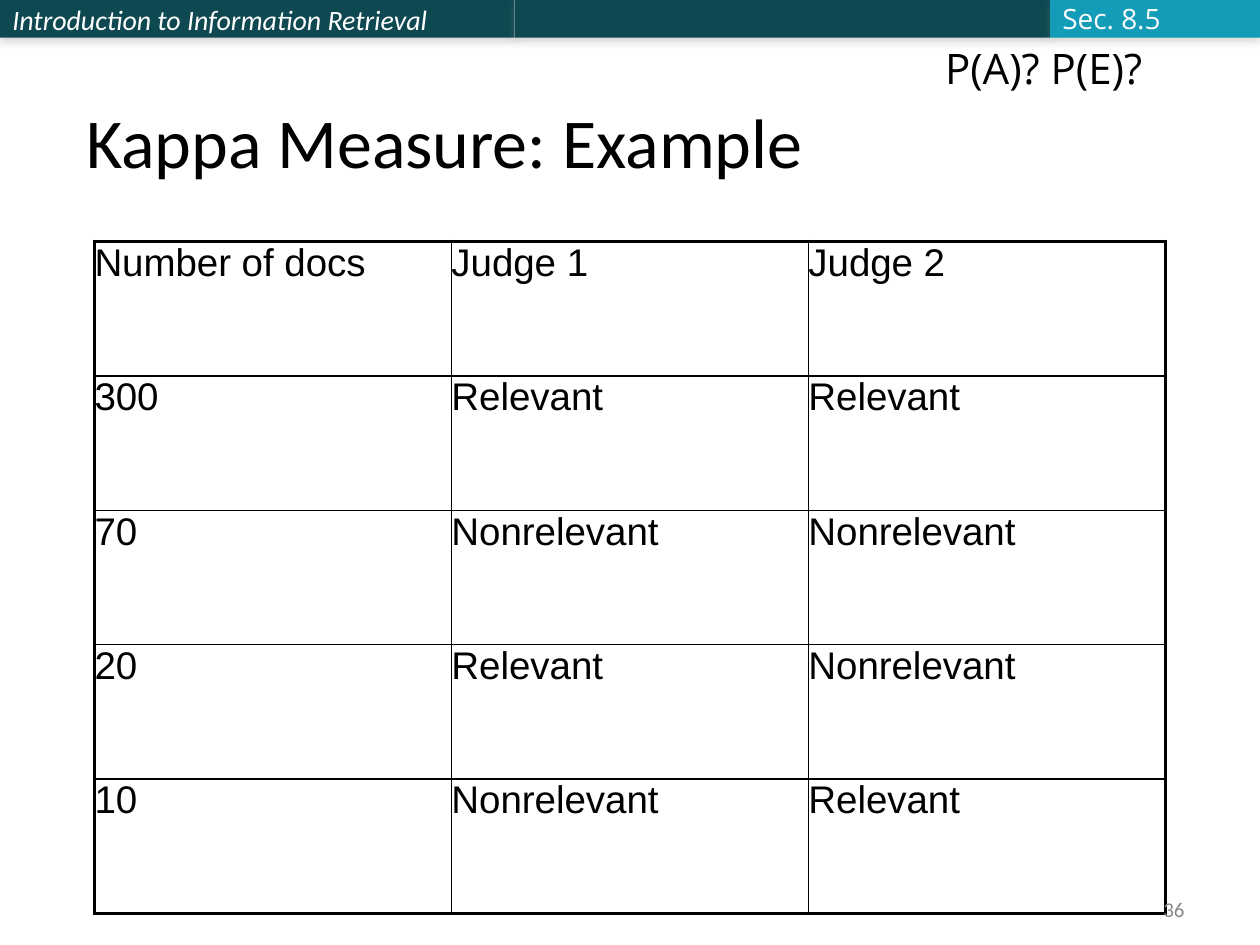
from pptx import Presentation
from pptx.dml.color import RGBColor
from pptx.enum.shapes import MSO_SHAPE
from pptx.enum.text import MSO_ANCHOR, MSO_AUTO_SIZE, PP_ALIGN
from pptx.oxml.ns import qn
from pptx.util import Pt
from lxml import etree

RECTANGLE = MSO_SHAPE.RECTANGLE
TOP, MIDDLE, BOTTOM = MSO_ANCHOR.TOP, MSO_ANCHOR.MIDDLE, MSO_ANCHOR.BOTTOM
LEFT, RIGHT = PP_ALIGN.LEFT, PP_ALIGN.RIGHT
NO_AUTOSIZE = MSO_AUTO_SIZE.NONE

COLORS = {
    "dark": "0E4851", "accent": "139CB7", "shadow": "808080", "black": "000000",
    "white": "FFFFFF", "section": "FBFCFF", "number": "898989",
}
TITLE = "Kappa Measure: Example"
COURSE = "Introduction to Information Retrieval"
HEADER_HEIGHT = 21.6
HEADER_BARS = [(294, "dark", COURSE), (306, "dark", ""), (120, "accent", "")]
LABELS = [
    ("36", (516, 510, 168, 19.2), 12, "Calibri", "number", MIDDLE, RIGHT),
    ("P(A)? P(E)?", (533, 21, 144, 36), 24, "Open Sans", "black", TOP, LEFT),
    ("Sec. 8.5", (600, -3, 76.5, 26.6), 16, "Open Sans", "section", MIDDLE, LEFT),
]
ROWS = [
    ("Number of docs", "Judge 1", "Judge 2"),
    ("300", "Relevant", "Relevant"),
    ("70", "Nonrelevant", "Nonrelevant"),
    ("20", "Relevant", "Nonrelevant"),
    ("10", "Nonrelevant", "Relevant"),
]
TABLE_AREA = (54, 138, 612, 384)
OUTER_LINE, INNER_LINE = 2.25, 1


def points(values):
    return [Pt(value) for value in values]


def add_span(para, text, size, font, color, italic=False):
    span = para.add_run()
    span.text = text
    span.font.size = Pt(size)
    span.font.name = font
    span.font.italic = italic
    span.font.color.rgb = RGBColor.from_string(COLORS[color])


def set_frame(frame, anchor):
    frame.word_wrap = True
    frame.auto_size = NO_AUTOSIZE
    frame.vertical_anchor = anchor
    frame.margin_left = frame.margin_right = Pt(7.2)
    frame.margin_top = frame.margin_bottom = Pt(3.6)


def add_color(parent, color):
    fill = etree.SubElement(parent, qn("a:solidFill"))
    return etree.SubElement(fill, qn("a:srgbClr"), val=COLORS[color])


def add_shadow(shape):
    shape.shadow.inherit = False
    effects = shape._element.spPr.find(qn("a:effectLst"))
    shadow = etree.SubElement(
        effects, qn("a:outerShdw"), blurRad=str(Pt(5)), dist=str(Pt(1.8)),
        dir="5400000", rotWithShape="0")
    color = etree.SubElement(shadow, qn("a:srgbClr"), val=COLORS["shadow"])
    etree.SubElement(color, qn("a:alpha"), val="35000")


def add_header(slide):
    left = 0
    for width, color, text in HEADER_BARS:
        bar = slide.shapes.add_shape(RECTANGLE, *points((left, 0, width, HEADER_HEIGHT)))
        bar.fill.solid()
        bar.fill.fore_color.rgb = RGBColor.from_string(COLORS[color])
        bar.line.fill.background()
        add_shadow(bar)
        if text:
            set_frame(bar.text_frame, MIDDLE)
            para = bar.text_frame.paragraphs[0]
            para.alignment = LEFT
            add_span(para, text, 16, "Calibri", "white", italic=True)
        left += width


def add_title(slide):
    title = slide.shapes.title
    title.left, title.top, title.width, title.height = points((42, 30, 636, 78))
    set_frame(title.text_frame, BOTTOM)
    para = title.text_frame.paragraphs[0]
    para.alignment = LEFT
    add_span(para, TITLE, 40, "Calibri", "black")


def set_borders(cell, widths):
    properties = cell._tc.get_or_add_tcPr()
    for side, width in widths.items():
        line = etree.SubElement(properties, qn(f"a:ln{side}"), w=str(Pt(width)))
        add_color(line, "black")


def add_judgments(slide):
    row_count, column_count = len(ROWS), len(ROWS[0])
    table = slide.shapes.add_table(row_count, column_count, *points(TABLE_AREA)).table
    table.first_row = table.horz_banding = False
    for column in table.columns:
        column.width = Pt(TABLE_AREA[2] / column_count)
    for row in table.rows:
        row.height = Pt(TABLE_AREA[3] / row_count)
    for i, texts in enumerate(ROWS):
        for j, text in enumerate(texts):
            cell = table.cell(i, j)
            cell.margin_left = cell.margin_right = Pt(0)
            cell.margin_top = cell.margin_bottom = Pt(0)
            at_edge = {"L": j == 0, "R": j == column_count - 1,
                       "T": i == 0, "B": i == row_count - 1}
            set_borders(cell, {side: OUTER_LINE if edge else INNER_LINE
                               for side, edge in at_edge.items()})
            cell.fill.background()
            add_span(cell.text_frame.paragraphs[0], text, 22, "Arial", "black")


def add_labels(slide):
    for text, area, size, font, color, anchor, alignment in LABELS:
        box = slide.shapes.add_textbox(*points(area))
        set_frame(box.text_frame, anchor)
        para = box.text_frame.paragraphs[0]
        para.alignment = alignment
        add_span(para, text, size, font, color)


def main():
    deck = Presentation()
    deck.slide_width, deck.slide_height = Pt(720), Pt(540)
    slide = deck.slides.add_slide(deck.slide_layouts[5])
    add_header(slide)
    add_title(slide)
    add_judgments(slide)
    add_labels(slide)
    deck.save("out.pptx")


if __name__ == "__main__":
    main()
